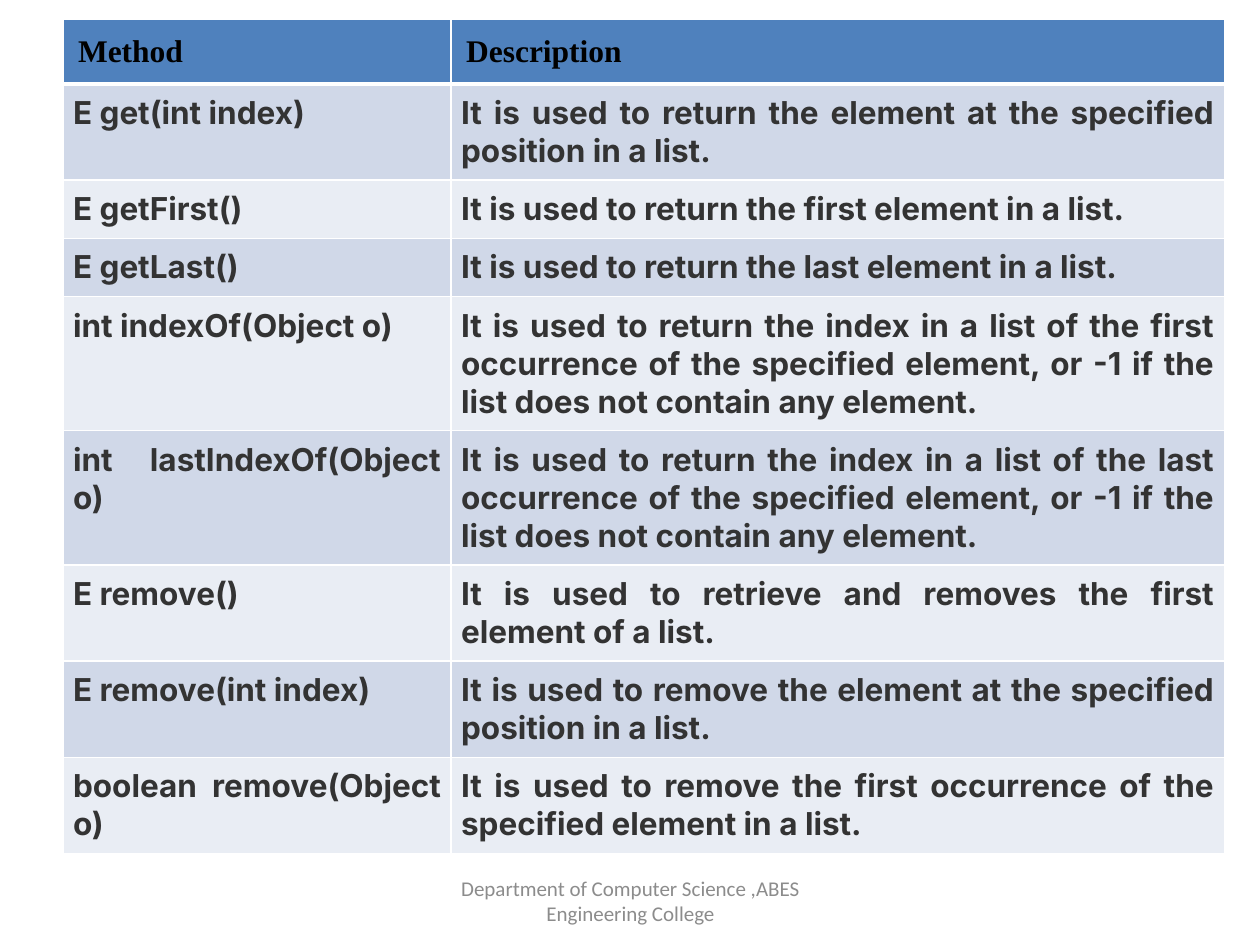
from pptx import Presentation, util as u
from pptx.dml.color import RGBColor
from pptx.enum import text
from pptx.oxml import parse_xml
from pptx.oxml.ns import nsdecls

METHODS = [
    ("E get(int index)",
     "It is used to return the element at the specified position in a list."),
    ("E getFirst()", "It is used to return the first element in a list."),
    ("E getLast()", "It is used to return the last element in a list."),
    ("int indexOf(Object o)",
     "It is used to return the index in a list of the first occurrence of the "
     "specified element, or -1 if the list does not contain any element."),
    ("int lastIndexOf(Object o)",
     "It is used to return the index in a list of the last occurrence of the "
     "specified element, or -1 if the list does not contain any element."),
    ("E remove()",
     "It is used to retrieve and removes the first element of a list."),
    ("E remove(int index)",
     "It is used to remove the element at the specified position in a list."),
    ("boolean remove(Object o)",
     "It is used to remove the first occurrence of the specified element in a list."),
]


def color(value):
    return RGBColor.from_string(value)


class SlideBuilder:
    header_fill = "4F81BD"
    band_fills = ("D0D8E8", "E9EDF4")
    border = "FFFFFF"

    def __init__(self, slide):
        self.slide = slide

    def add_text(self, paragraph, words, font, size, hex_color, bold, align):
        paragraph.alignment = align
        run = paragraph.add_run()
        run.text = words
        run.font.name = font
        run.font.size = u.Pt(size)
        run.font.bold = bold
        run.font.color.rgb = color(hex_color)

    def set_borders(self, cell, bottom_width):
        properties = cell._tc.get_or_add_tcPr()
        widths = {"lnL": 1, "lnR": 1, "lnT": 1, "lnB": bottom_width}
        for position, (side, width) in enumerate(widths.items()):
            properties.insert(position, parse_xml(
                f'<a:{side} {nsdecls("a")} w="{u.Pt(width)}"><a:solidFill>'
                f'<a:srgbClr val="{self.border}"/></a:solidFill></a:{side}>'))

    def cell(self, cell, words, row):
        header = row == 0
        inset = u.Inches(0.12 if header else 0.08)
        cell.margin_left = cell.margin_right = inset
        cell.margin_top = cell.margin_bottom = inset
        cell.fill.solid()
        fill = self.header_fill if header else self.band_fills[(row - 1) % 2]
        cell.fill.fore_color.rgb = color(fill)
        self.set_borders(cell, 3 if header else 1)
        paragraph = cell.text_frame.paragraphs[0]
        if header:
            self.add_text(paragraph, words, "Times New Roman", 18, "000000", True,
                          text.PP_ALIGN.LEFT)
        else:
            self.add_text(paragraph, words, "Inter", 18, "333333", True,
                          text.PP_ALIGN.JUSTIFY)

    def table(self, rows, left, top, widths, row_height, height):
        """Rows start at row_height and grow to fit their text."""
        frame = self.slide.shapes.add_table(
            len(rows), len(widths), u.Inches(left), u.Inches(top),
            u.Inches(sum(widths)), u.Inches(height))
        table = frame.table
        for column, width in zip(table.columns, widths):
            column.width = u.Inches(width)
        for row, values in enumerate(rows):
            table.rows[row].height = u.Inches(row_height)
            for column, words in enumerate(values):
                self.cell(table.cell(row, column), words, row)
        frame.height = u.Inches(height)

    def footer(self, words, left, top, width, height):
        box = self.slide.shapes.add_textbox(
            u.Inches(left), u.Inches(top), u.Inches(width), u.Inches(height))
        frame = box.text_frame
        frame.word_wrap = True
        frame.vertical_anchor = text.MSO_ANCHOR.MIDDLE
        self.add_text(frame.paragraphs[0], words, "Calibri", 12, "8C8C8C", False,
                      text.PP_ALIGN.CENTER)


def main():
    presentation = Presentation()
    presentation.slide_width = u.Inches(10)
    presentation.slide_height = u.Inches(7.5)
    slide = presentation.slides.add_slide(presentation.slide_layouts[6])
    builder = SlideBuilder(slide)
    builder.table([("Method", "Description")] + METHODS,
                  0.5, 0.15, (3.08, 6.14), 0.41, 6.68)
    builder.footer("Department of Computer Science ,ABES Engineering College",
                   3.42, 6.95, 3.17, 0.4)
    presentation.save("out.pptx")


if __name__ == "__main__":
    main()
